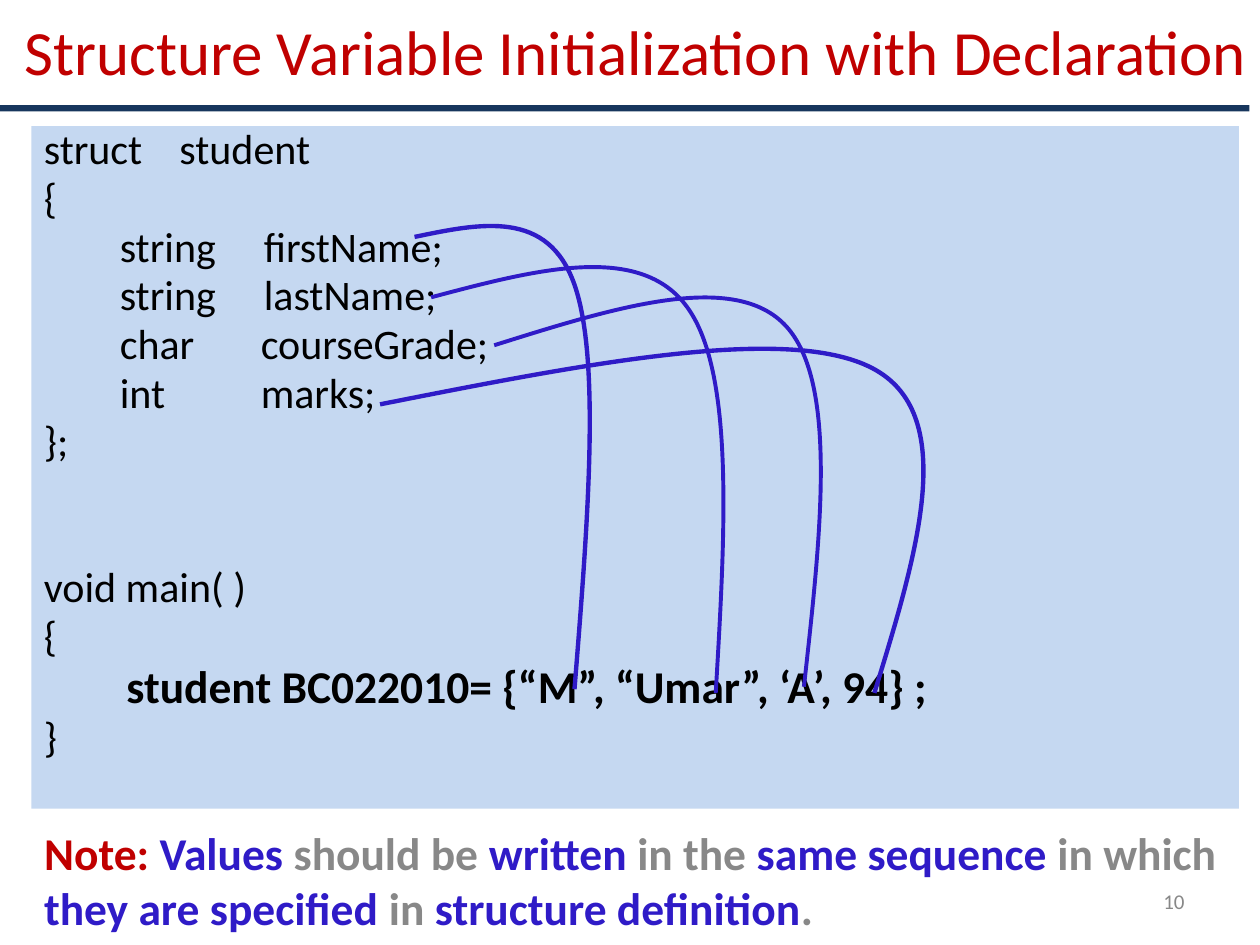
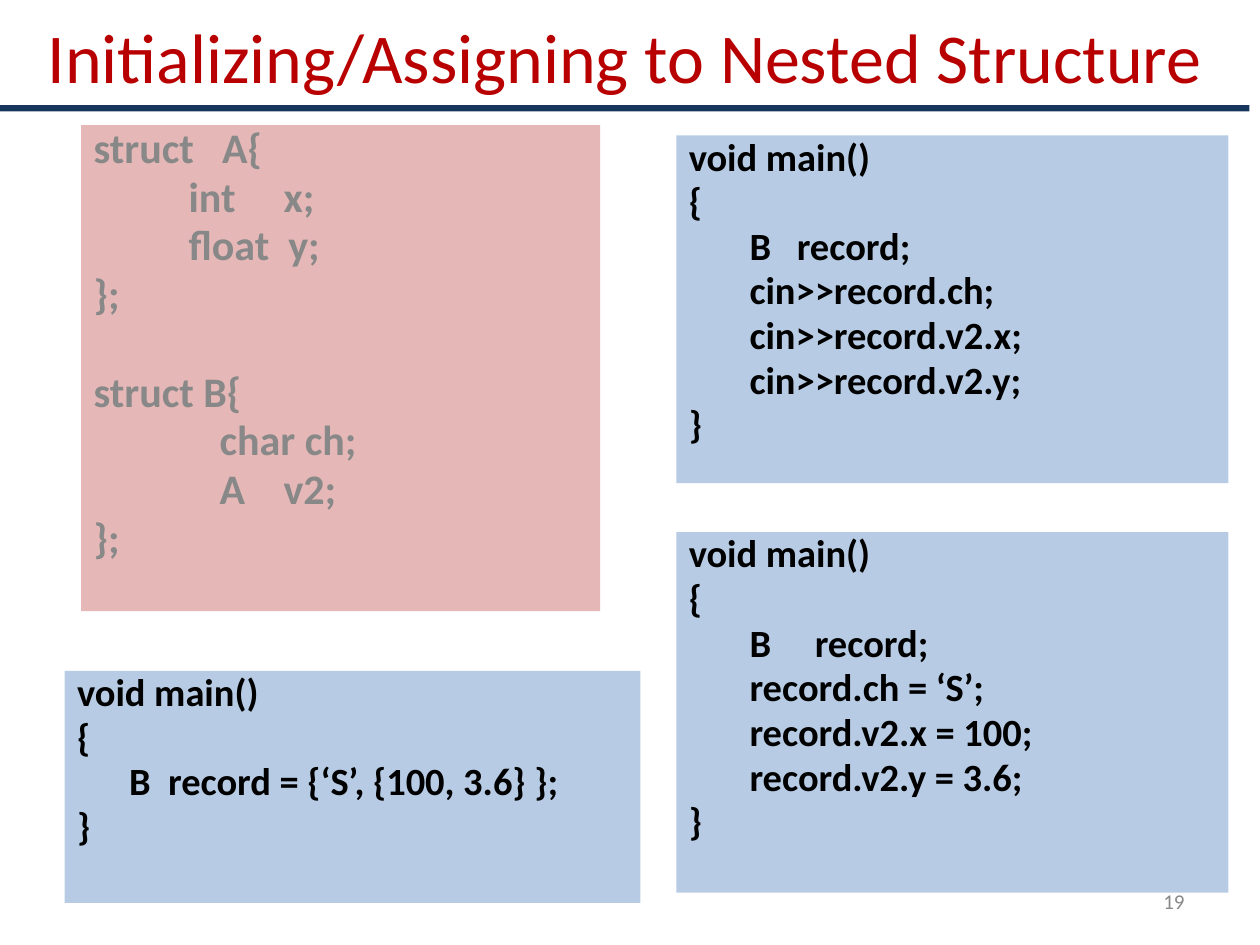
from lxml import etree
from pptx import Presentation
from pptx.dml.color import RGBColor
from pptx.enum.shapes import MSO_SHAPE
from pptx.enum.text import MSO_ANCHOR, PP_ALIGN
from pptx.oxml.ns import qn
from pptx.util import Pt

RECTANGLE = MSO_SHAPE.RECTANGLE
MIDDLE, TOP = MSO_ANCHOR.MIDDLE, MSO_ANCHOR.TOP
LEFT, CENTER, RIGHT, JUSTIFY = PP_ALIGN.LEFT, PP_ALIGN.CENTER, PP_ALIGN.RIGHT, PP_ALIGN.JUSTIFY

RED = RGBColor(0xC0, 0x00, 0x00)
DARK_RED = RGBColor(0xB8, 0x00, 0x00)
BLUE = RGBColor(0x2F, 0x1B, 0xC7)
NAVY = RGBColor(0x17, 0x36, 0x5D)
GRAY = RGBColor(0x88, 0x88, 0x88)
BLACK = RGBColor(0x00, 0x00, 0x00)
SKY = RGBColor(0xC5, 0xD8, 0xF1)
STEEL = RGBColor(0xB7, 0xCC, 0xE4)
PINK = RGBColor(0xE5, 0xB8, 0xB7)

FONT = "Calibri"
RULE_AREA = (0, 60, 714, 3.6)
NUMBER_AREA = (516, 500.4, 168, 28.8)
LINE_SPACING = 0.8

# Code lines: text, tab stops, format values that differ from the box
STUDENT_CODE = [
    ("struct\tstudent", (77.5,), {}),
    ("{", (), {}),
    ("\tstring\tfirstName;", (43.4, 125.7), {}),
    ("\tstring\tlastName;", (43.4, 125.7), {}),
    ("\tchar\tcourseGrade;", (43.4, 124), {}),
    ("\tint\tmarks;", (43.4, 124), {}),
    ("};", (), {}),
    ("void main( )", (), {"space_before": 60.2}),
    ("{", (), {}),
    ("\tstudent BC022010= {“M”, “Umar”, ‘A’, 94} ;", (47.2,),
     {"size": 26, "bold": True, "space_before": 5.2}),
    ("}", (), {}),
]
NESTED_CODE = [
    ("struct\tA{", (73.5,), {}),
    ("\tint\tx;", (54.3, 108.5), {}),
    ("\tfloat\ty;", (54.3, 111.3), {}),
    ("};", (), {}),
    ("struct B{", (), {"space_before": 32.6}),
    ("\tchar ch;", (72,), {}),
    ("\tA\tv2;", (72, 108.5), {}),
    ("};", (), {}),
]


def main_code(*statements):
    return [("void main()", (), {}), ("{", (), {}),
            *((text, stops, {}) for text, stops in statements), ("}", (), {})]


INPUT_CODE = main_code(
    ("\tB\trecord;", (34.7, 61.7)),
    ("\tcin>>record.ch;", (34.7,)),
    ("\tcin>>record.v2.x;", (34.7,)),
    ("\tcin>>record.v2.y;", (34.7,)))
INITIAL_CODE = main_code(("\tB\trecord = {‘S’, {100, 3.6} };", (29.7, 52)))
ASSIGN_CODE = main_code(
    ("\tB\trecord;", (34.7, 72)),
    ("\trecord.ch = ‘S’;", (34.7,)),
    ("\trecord.v2.x = 100;", (34.7,)),
    ("\trecord.v2.y = 3.6;", (34.7,)))

NOTE = [
    ("Note: ", RED), ("Values", BLUE), (" should be ", GRAY), ("written", BLUE),
    (" in the ", GRAY), ("same sequence ", BLUE), ("in which ", GRAY),
    ("they are specified ", BLUE), ("in ", GRAY), ("structure definition", BLUE), (".", GRAY),
]

# Each curve: value, two guide points, member; then line width
MEMBER_CURVES = [
    ([(328.3, 393.8), (343.4, 205.9), (313.2, 119.5), (236.9, 135.4)], 2.5),
    ([(409, 396), (419.8, 213.1), (365.8, 138.2), (246.4, 169.9)], 2.25),
    ([(459.4, 392.4), (478.8, 218.9), (419.8, 154.1), (282.4, 197.3)], 2.25),
    ([(499.7, 396), (547.9, 239), (453.6, 184.3), (217.2, 231.1)], 2.5),
]

SLIDES = [
    {
        "title": ("Structure Variable Initialization with Declaration",
                  (-5.6, 3.6, 738, 50.4), {"size": 36, "color": RED}),
        "boxes": [(STUDENT_CODE, (18, 72.1, 690, 390), SKY,
                   {"size": 24, "color": BLACK}, LEFT)],
        "note": (NOTE, (18.1, 468, 702, 72)),
        "curves": MEMBER_CURVES,
        "number": "10",
    },
    {
        "title": ("Initializing/Assigning to Nested Structure",
                  (6, 3.6, 702, 56), {"size": 40, "color": DARK_RED}),
        "boxes": [
            (code, area, fill, {"size": size, "color": color, "bold": True}, JUSTIFY)
            for code, area, fill, size, color in [
                (NESTED_CODE, (46.4, 71.5, 296.6, 277.8), PINK, 24, GRAY),
                (INPUT_CODE, (386.5, 77.3, 315.4, 198.8), STEEL, 22, BLACK),
                (INITIAL_CODE, (37, 383.4, 329, 132.6), STEEL, 22, BLACK),
                (ASSIGN_CODE, (386.5, 304.1, 315.4, 206), STEEL, 22, BLACK),
            ]
        ],
        "number": "19",
    },
]


def add_span(para, text, size, color, bold=False):
    span = para.add_run()
    span.text = text
    for name, value in {"name": FONT, "size": Pt(size), "bold": bold}.items():
        setattr(span.font, name, value)
    span.font.color.rgb = color


def prepare_frame(box, anchor):
    frame = box.text_frame
    values = {"word_wrap": True, "vertical_anchor": anchor,
              "margin_left": Pt(7.2), "margin_right": Pt(7.2),
              "margin_top": Pt(3.6), "margin_bottom": Pt(3.6)}
    for name, value in values.items():
        setattr(frame, name, value)
    return frame


def add_text(page, spans, area, align, anchor):
    """Spans are (text, format values) pairs of one paragraph."""
    box = page.shapes.add_textbox(*map(Pt, area))
    para = prepare_frame(box, anchor).paragraphs[0]
    para.alignment = align
    for text, style in spans:
        add_span(para, text, **style)


def add_panel(page, area, fill):
    panel = page.shapes.add_shape(RECTANGLE, *map(Pt, area))
    panel.shadow.inherit = False
    panel.fill.solid()
    panel.fill.fore_color.rgb = fill
    panel.line.fill.background()
    return panel


def set_tab_stops(para, stops):
    tabs = etree.SubElement(para._p.get_or_add_pPr(), qn("a:tabLst"))
    for stop in stops:
        etree.SubElement(tabs, qn("a:tab"), pos=str(Pt(stop)), algn="l")


def add_code(page, code, area, fill, style, align):
    frame = prepare_frame(add_panel(page, area, fill), TOP)
    for index, (text, stops, changes) in enumerate(code):
        para = frame.add_paragraph() if index else frame.paragraphs[0]
        look = {**style, **changes}
        gap = look.pop("space_before", 0.2 * look["size"] if index else 0)
        para.alignment = align
        para.line_spacing = LINE_SPACING
        para.space_before = Pt(gap)
        if stops:
            set_tab_stops(para, stops)
        add_span(para, text, **look)


def midpoint(first, second):
    return tuple((a + b) / 2 for a, b in zip(first, second))


def bend_segments(curve):
    """Turn each three straight segments into one cubic curve."""
    lines = list(curve._element.iter(qn("a:lnTo")))
    for first in range(0, len(lines), 3):
        bend = etree.Element(qn("a:cubicBezTo"))
        lines[first].addprevious(bend)
        for line in lines[first:first + 3]:
            bend.append(line[0])
            line.getparent().remove(line)


def add_curve(page, guides, width):
    start, near, far, end = guides
    points = [midpoint(start, near), near, midpoint(near, far), far, midpoint(far, end), end]
    builder = page.shapes.build_freeform(*map(Pt, start))
    builder.add_line_segments([tuple(map(Pt, point)) for point in points], close=False)
    curve = builder.convert_to_shape()
    bend_segments(curve)
    curve.shadow.inherit = False
    curve.fill.background()
    curve.line.color.rgb = BLUE
    curve.line.width = Pt(width)


def build_page(deck, content):
    page = deck.slides.add_slide(deck.slide_layouts[6])
    # Title
    title, area, style = content["title"]
    add_text(page, [(title, style)], area, CENTER, MIDDLE)
    # Note and code
    if "note" in content:
        parts, area = content["note"]
        spans = [(text, {"size": 26, "color": color, "bold": True}) for text, color in parts]
        add_text(page, spans, area, LEFT, TOP)
    for box in content["boxes"]:
        add_code(page, *box)
    # Rule and curves
    add_panel(page, RULE_AREA, NAVY)
    for guides, width in content.get("curves", []):
        add_curve(page, guides, width)
    # Slide number
    add_text(page, [(content["number"], {"size": 12, "color": GRAY})],
             NUMBER_AREA, RIGHT, MIDDLE)


def main():
    deck = Presentation()
    deck.slide_width, deck.slide_height = Pt(720), Pt(540)
    for content in SLIDES:
        build_page(deck, content)
    deck.save("out.pptx")


if __name__ == "__main__":
    main()
